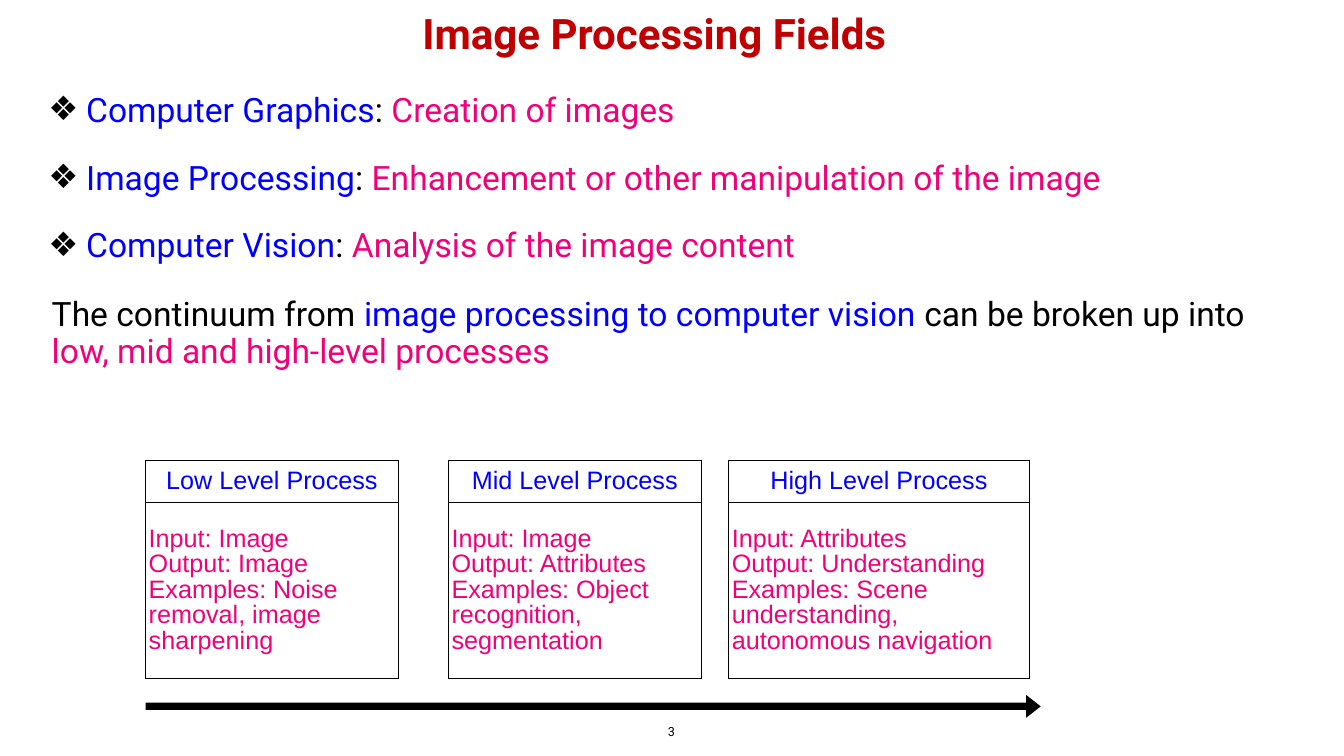
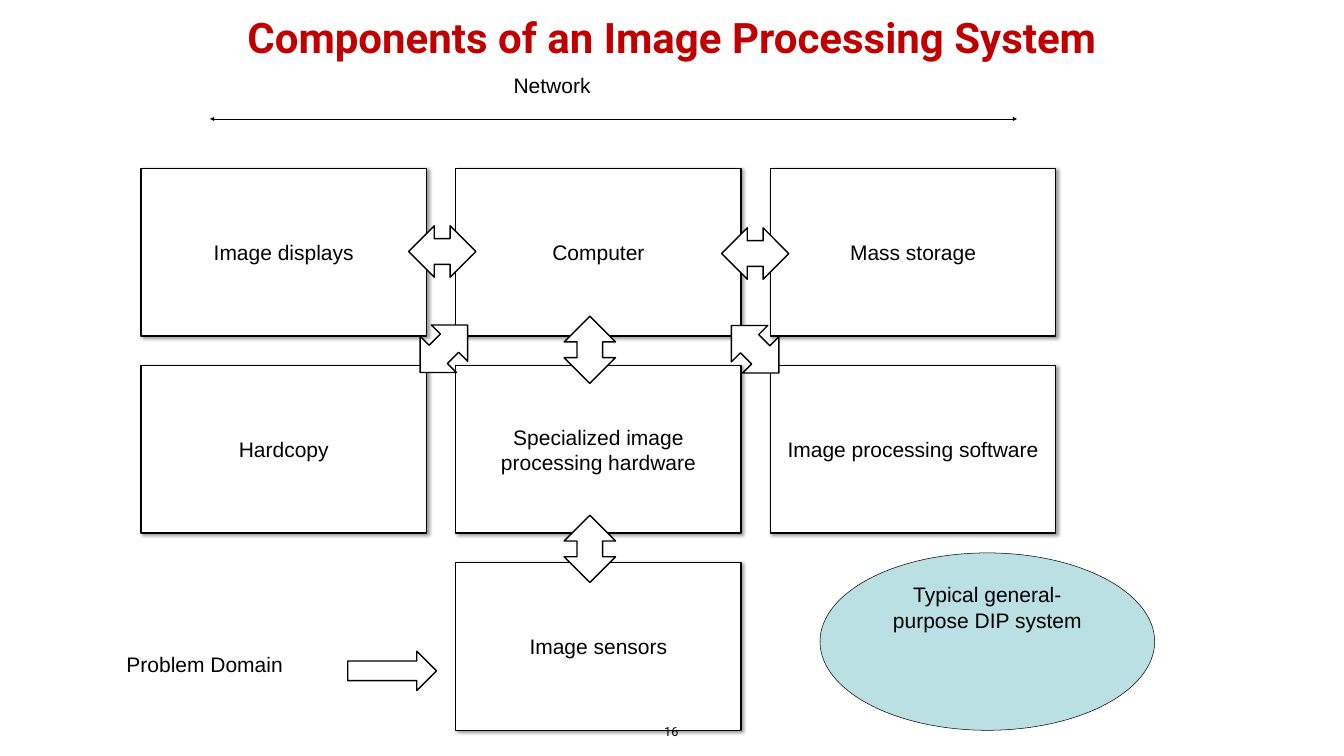
"""Build two slides on image processing fields and system components."""
from lxml.etree import SubElement
from pptx import Presentation
from pptx.dml.color import RGBColor
from pptx.enum.shapes import MSO_CONNECTOR, MSO_SHAPE as SHAPE
from pptx.enum.text import MSO_ANCHOR as ANCHOR, MSO_AUTO_SIZE, PP_ALIGN as ALIGN
from pptx.oxml import parse_xml
from pptx.oxml.ns import nsdecls, qn
from pptx.util import Emu, Inches, Pt

BLACK = RGBColor(0x00, 0x00, 0x00)
WHITE = RGBColor(0xFF, 0xFF, 0xFF)
RED = RGBColor(0xC0, 0x00, 0x00)
BLUE = RGBColor(0x00, 0x00, 0xFF)
PINK = RGBColor(0xF1, 0x00, 0x79)
PALE_TEAL = RGBColor(0xBB, 0xE0, 0xE3)

COLS, ROWS = 80, 45
CELL = Inches(1) // 3


def grid(*cells):
    return [Emu(round(n * CELL)) for n in cells]


class Deck:
    title_font = "Roboto"
    label_font = "Arial"
    margin = Inches(0.06)

    def __init__(self):
        self.prs = Presentation()
        self.prs.slide_width, self.prs.slide_height = grid(COLS, ROWS)

    def slide(self, title, left, top, number):
        self.s = self.prs.slides.add_slide(self.prs.slide_layouts[5])
        sp = self.s.shapes.title
        sp.left, sp.top, sp.width, sp.height = grid(left, top, 72.1, 4.7)
        tf = self.frame(sp.text_frame, ANCHOR.TOP)
        self.add_runs(tf.paragraphs[0], [(title, RED)], 60, self.title_font,
                      ALIGN.CENTER, 0.8, bold=True)
        self.number = number

    def page_number(self):
        tf = self.text([[(self.number, BLACK)]], (39.36, 42.93, 1.2, 1.23), 18,
                       self.title_font, align=ALIGN.CENTER, anchor=ANCHOR.BOTTOM)
        tf.word_wrap = False

    def frame(self, tf, anchor, side=margin):
        tf.word_wrap = True
        tf.auto_size = MSO_AUTO_SIZE.NONE
        tf.vertical_anchor = anchor
        tf.margin_left = tf.margin_right = side
        tf.margin_top = tf.margin_bottom = self.margin
        return tf

    def add_runs(self, p, parts, size, font, align=ALIGN.LEFT, spacing=None, bold=False):
        p.alignment = align
        p.line_spacing = spacing
        for text, color in parts:
            for i, line in enumerate(text.split("\n")):
                if i:
                    p.add_line_break()
                r = p.add_run()
                r.text = line
                r.font.size, r.font.name, r.font.bold = Pt(size), font, bold
                r.font.color.rgb = color

    def bullet(self, p):
        pPr = p._p.get_or_add_pPr()
        pPr.set("marL", str(Inches(1.05)))
        pPr.set("indent", str(Inches(-0.75)))
        SubElement(SubElement(pPr, qn("a:buClr")), qn("a:srgbClr"), val=str(BLACK))
        SubElement(pPr, qn("a:buFont"), typeface=self.label_font)
        SubElement(pPr, qn("a:buChar"), char="❖")

    def text(self, paragraphs, box, size, font, align=ALIGN.LEFT, spacing=None,
             anchor=ANCHOR.TOP, bullets=False, gap=0):
        tf = self.frame(self.s.shapes.add_textbox(*grid(*box)).text_frame, anchor)
        for i, parts in enumerate(paragraphs):
            p = tf.add_paragraph() if i else tf.paragraphs[0]
            if bullets:
                self.bullet(p)
            if i:
                p.space_before = Pt(gap)
            self.add_runs(p, parts, size, font, align, spacing)
        return tf

    def label(self, text, box):
        self.text([[(text, BLACK)]], box, 30, self.label_font)

    def table(self, head, body, left, width):
        heights = grid(2.52, 10.47)
        table = self.s.shapes.add_table(
            2, 1, *grid(left, 27.4, width), sum(heights)).table
        table.first_row = table.horz_banding = False
        rows = ((head, BLUE, ALIGN.CENTER), (body, PINK, ALIGN.LEFT))
        for i, (text, color, align) in enumerate(rows):
            table.rows[i].height = heights[i]
            cell = table.cell(i, 0)
            cell.vertical_anchor = ANCHOR.MIDDLE
            cell.margin_left = cell.margin_right = self.margin
            cell.margin_top = cell.margin_bottom = self.margin
            cell.fill.background()
            self.border(cell)
            self.add_runs(cell.text_frame.paragraphs[0], [(text, color)], 36,
                          self.label_font, align, 0.9)

    def border(self, cell):
        tcPr = cell._tc.get_or_add_tcPr()
        for i, side in enumerate("LRTB"):
            tcPr.insert(i, parse_xml(
                f'<a:ln{side} {nsdecls("a")} w="{Pt(1)}"><a:solidFill>'
                f'<a:srgbClr val="{BLACK}"/></a:solidFill></a:ln{side}>'))

    def shape(self, kind, box, fill=WHITE, line=2, rotation=0):
        sp = self.s.shapes.add_shape(kind, *grid(*box))
        sp.shadow.inherit = False
        sp.rotation = rotation
        sp.fill.solid()
        sp.fill.fore_color.rgb = fill
        if line:
            sp.line.color.rgb = BLACK
            sp.line.width = Pt(line)
        else:
            sp.line.fill.background()
        return sp

    def caption(self, sp, text, anchor=ANCHOR.MIDDLE):
        tf = self.frame(sp.text_frame, anchor, Inches(0.17))
        self.add_runs(tf.paragraphs[0], [(text, BLACK)], 30, self.label_font, ALIGN.CENTER)

    def block(self, text, col, row):
        sp = self.shape(SHAPE.RECTANGLE,
                        (8.4 + 18.73 * col, 10.02 + 11.73 * row, 16.98, 9.99))
        sp._element.spPr.find(qn("a:effectLst")).append(parse_xml(
            f'<a:outerShdw {nsdecls("a")} blurRad="{Pt(5)}" dist="{Pt(3)}" '
            f'dir="2700000" rotWithShape="0"><a:srgbClr val="{BLACK}">'
            '<a:alpha val="40000"/></a:srgbClr></a:outerShdw>'))
        self.caption(sp, text)

    def double_arrow(self, x, y, rotation):
        width, height = 4, 3.06
        self.shape(SHAPE.LEFT_RIGHT_ARROW,
                   (x - width / 2, y - height / 2, width, height), rotation=rotation)

    def arrow_line(self, start, end, y):
        line = self.s.shapes.add_connector(MSO_CONNECTOR.STRAIGHT,
                                           *grid(start, y, end, y))
        line.line.color.rgb = BLACK
        line.line.width = Pt(0.75)
        spPr = line._element.spPr
        for end_tag in ("a:headEnd", "a:tailEnd"):
            SubElement(spPr.find(qn("a:ln")), qn(end_tag), type="triangle")
        SubElement(spPr, qn("a:effectLst"))


def fields_slide(deck):
    deck.slide("Image Processing Fields", 2.9, 0.85, "3")
    fields = (
        ("Computer Graphics", "Creation of images"),
        ("Image Processing", "Enhancement or other manipulation of the image"),
        ("Computer Vision", "Analysis of the image content"),
    )
    deck.text([[(name, BLUE), (": ", BLACK), (aim, PINK)] for name, aim in fields],
              (1.8, 5.37, 72.1, 12.18), 48, deck.title_font,
              spacing=0.9, bullets=True, gap=45)
    deck.text([[("The continuum from ", BLACK),
                ("image processing to computer vision ", BLUE),
                ("can be broken up into ", BLACK),
                ("low, mid and high-level processes", PINK)]],
              (2.9, 17.55, 72.1, 5.64), 48, deck.title_font, spacing=0.9)
    levels = (
        ("Low", "Image", "Image", "Noise removal, image sharpening", 8.67, 15.03),
        ("Mid", "Image", "Attributes", "Object recognition, segmentation", 26.7, 15.03),
        ("High", "Attributes", "Understanding",
         "Scene understanding, autonomous navigation", 43.38, 17.88),
    )
    for level, source, result, examples, left, width in levels:
        deck.table(f"{level} Level Process",
                   f"Input: {source}\nOutput: {result}\nExamples: {examples}",
                   left, width)
    progress = deck.shape(SHAPE.RIGHT_ARROW, (8.67, 41.37, 53.28, 1.35), BLACK, 0)
    progress.adjustments[0], progress.adjustments[1] = 0.32, 0.64
    deck.page_number()


def components_slide(deck):
    deck.slide("Components of an Image Processing System", 3.95, 1.1, "16")
    deck.arrow_line(12.5, 60.54, 7.08)
    deck.label("Network", (30.39, 4.14, 19.26, 2.73))
    blocks = (
        ("Image displays", 0, 0), ("Computer", 1, 0), ("Mass storage", 2, 0),
        ("Hardcopy", 0, 1), ("Specialized image processing hardware", 1, 1),
        ("Image processing software", 2, 1), ("Image sensors", 1, 2),
    )
    for text, col, row in blocks:
        deck.block(text, col, row)
    deck.shape(SHAPE.RIGHT_ARROW, (20.7, 38.76, 5.28, 2.34))
    deck.label("Problem Domain", (7.35, 38.58, 16.32, 2.73))
    links = ((35.11, 32.67, 270), (35.11, 20.82, 270), (44.95, 20.79, 45),
             (26.42, 20.76, 135), (26.32, 14.97, 180), (44.95, 15.09, 180))
    for x, y, rotation in links:
        deck.double_arrow(x, y, rotation)
    system = deck.shape(SHAPE.OVAL, (48.81, 32.91, 19.92, 10.56), PALE_TEAL, 0.75)
    deck.caption(system, "Typical general-purpose DIP system", ANCHOR.TOP)
    deck.page_number()


def main():
    deck = Deck()
    fields_slide(deck)
    components_slide(deck)
    deck.prs.save("out.pptx")


if __name__ == "__main__":
    main()
